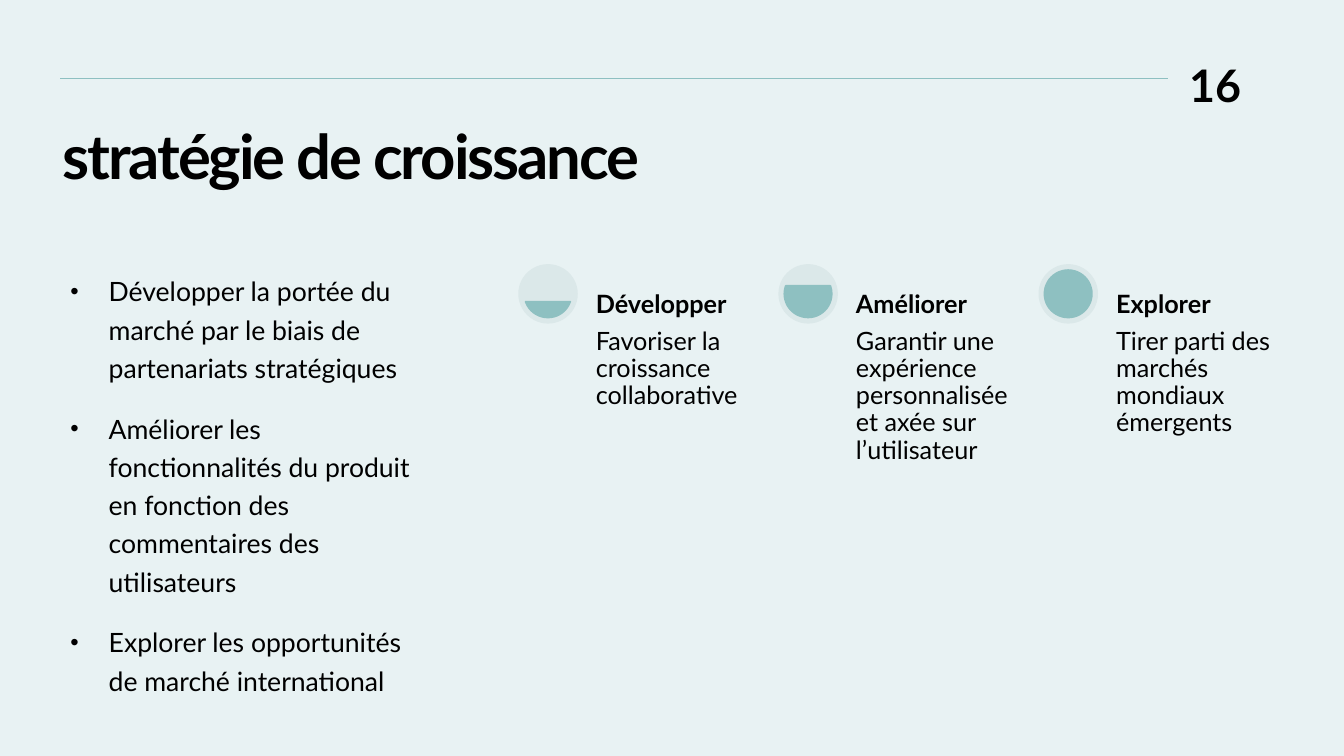
import pptx
import pptx.dml.color
import pptx.enum.shapes
import pptx.enum.text
import pptx.oxml
import pptx.oxml.ns
import pptx.util
from pptx.util import Inches

COLORS = {"bg": "E8F2F3", "teal": "8EC0C1", "disc": "DBE8E9", "text": "000000"}
SHAPE = pptx.enum.shapes.MSO_SHAPE
ALIGN = pptx.enum.text.PP_ALIGN
ANCHOR = pptx.enum.text.MSO_ANCHOR

BULLETS = [
    "Développer la portée du marché par le biais de partenariats stratégiques",
    "Améliorer les fonctionnalités du produit en fonction des commentaires des utilisateurs",
    "Explorer les opportunités de marché international",
]
STEPS = [
    ("Développer", "Favoriser la croissance collaborative", (11.683, 96.317)),
    ("Améliorer", "Garantir une expérience personnalisée et axée sur l’utilisateur", (204.317, 119.683)),
    ("Explorer", "Tirer parti des marchés mondiaux émergents", (162, 162)),
]
STEP_LEFT, STEP_TOP, STEP_PITCH = 5.14, 2.62, 2.58


def rgb(name):
    return pptx.dml.color.RGBColor.from_string(COLORS[name])


def apply(target, values):
    for name, value in values.items():
        setattr(target, name, value)


class Deck:
    """Holds the style and the current slide, and draws each kind of element."""

    def __init__(self, prs, font="Lato"):
        self.font = font
        self.s = prs.slides.add_slide(prs.slide_layouts[5])
        self.s.background.fill.solid()
        self.s.background.fill.fore_color.rgb = rgb("bg")

    def fill_text(self, sp, paragraphs, size, bold=False, margins=(0.1, 0.05, 0.1, 0.05),
                  anchor=ANCHOR.TOP, **para):
        tf = sp.text_frame
        sides = ("margin_left", "margin_top", "margin_right", "margin_bottom")
        apply(tf, dict(zip(sides, map(Inches, margins))))
        apply(tf, {"word_wrap": True, "vertical_anchor": anchor,
                   "auto_size": pptx.enum.text.MSO_AUTO_SIZE.NONE})
        for i, text in enumerate(paragraphs):
            p = tf.add_paragraph() if i else tf.paragraphs[0]
            apply(p, {"alignment": ALIGN.LEFT, **para})
            r = p.add_run()
            apply(r, {"text": text})
            apply(r.font, {"name": self.font, "size": pptx.util.Pt(size), "bold": bold})
            r.font.color.rgb = rgb("text")
        return tf

    def title(self, text, box):
        sp = self.s.shapes.title
        apply(sp, dict(zip(("left", "top", "width", "height"), map(Inches, box))))
        tf = self.fill_text(sp, [text], 44, True, (0, 0.05, 0.1, 0.05), line_spacing=0.9)
        tf.paragraphs[0].runs[0].font._element.set("spc", "-150")

    def text(self, shapes, paragraphs, box, size, **style):
        sp = shapes.add_textbox(*map(Inches, box))
        return self.fill_text(sp, paragraphs, size, **style)

    def bullets(self, items, box):
        tf = self.text(self.s.shapes, items, box, 19, line_spacing=1.2,
                       space_before=pptx.util.Pt(10), space_after=pptx.util.Pt(6))
        for p in tf.paragraphs:
            pPr = p._p.get_or_add_pPr()
            pPr.set("marL", str(Inches(0.38)))
            pPr.set("indent", str(Inches(-0.38)))
            ns = pptx.oxml.ns.nsdecls("a")
            for xml in (f'<a:buClr {ns}><a:srgbClr val="{COLORS["text"]}"/></a:buClr>',
                        f'<a:buSzPct {ns} val="90000"/>',
                        f'<a:buFont {ns} typeface="Arial"/>',
                        f'<a:buChar {ns} char="•"/>'):
                pPr.append(pptx.oxml.parse_xml(xml))

    def rule(self, x1, x2, y):
        line = self.s.shapes.add_connector(pptx.enum.shapes.MSO_CONNECTOR.STRAIGHT,
                                           *map(Inches, (x1, y, x2, y)))
        line.line.color.rgb = rgb("teal")
        line.line.width = pptx.util.Pt(0.75)
        ns = pptx.oxml.ns.nsdecls("a")
        line._element.spPr.append(pptx.oxml.parse_xml(f"<a:effectLst {ns}/>"))

    def shape(self, shapes, kind, box, fill, line=None):
        sp = shapes.add_shape(kind, *map(Inches, box))
        sp.shadow.inherit = False
        sp.fill.solid()
        sp.fill.fore_color.rgb = rgb(fill)
        if line:
            sp.line.color.rgb = rgb(line)
            sp.line.width = pptx.util.Pt(1.25)
        else:
            sp.line.fill.background()
        return sp

    def step(self, x, y, heading, body, angles):
        shapes = self.s.shapes.add_group_shape().shapes
        self.shape(shapes, SHAPE.OVAL, (x, y, 0.59, 0.59), "disc")
        level = self.shape(shapes, SHAPE.CHORD, (x + 0.06, y + 0.06, 0.47, 0.47), "teal", "teal")
        for i, angle in enumerate(angles):
            level.adjustments[i] = angle
        style = {"margins": (0.05,) * 4, "line_spacing": 0.9}
        self.text(shapes, [body], (x + 0.72, y + 0.59, 1.74, 2.48), 18, **style)
        self.text(shapes, [heading], (x + 0.72, y, 1.74, 0.59), 18, bold=True,
                  anchor=ANCHOR.BOTTOM, **style)


def main():
    prs = pptx.Presentation()
    apply(prs, {"slide_width": Inches(13.33), "slide_height": Inches(7.5)})
    deck = Deck(prs)
    deck.rule(0.6, 11.58, 0.78)
    deck.title("stratégie de croissance", (0.62, 1.2, 12.13, 1.32))
    deck.text(deck.s.shapes, ["16"], (11.31, 0.57, 1, 0.53), 32, bold=True,
              margins=(0,) * 4, alignment=ALIGN.RIGHT)
    deck.bullets(BULLETS, (0.6, 2.62, 3.78, 4.46))
    for i, (heading, body, angles) in enumerate(STEPS):
        deck.step(STEP_LEFT + i * STEP_PITCH, STEP_TOP, heading, body, angles)
    prs.save("out.pptx")


if __name__ == "__main__":
    main()
